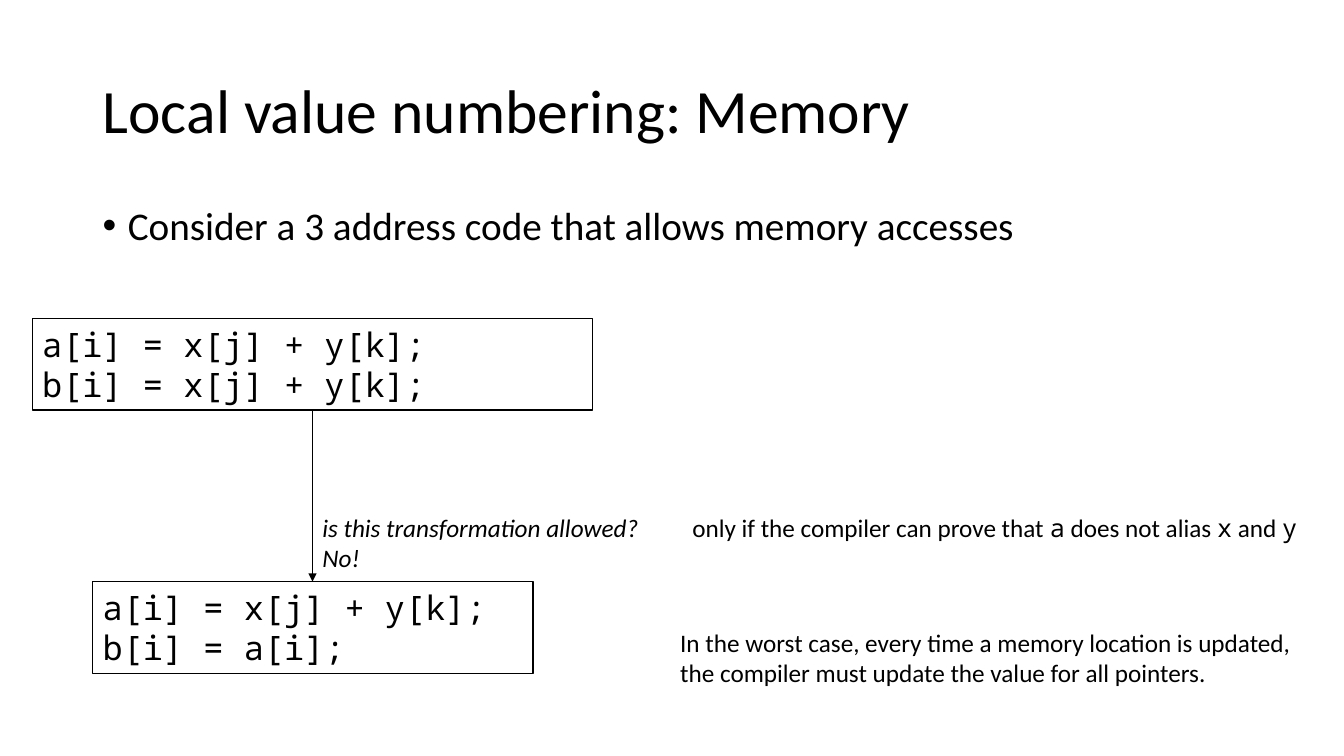
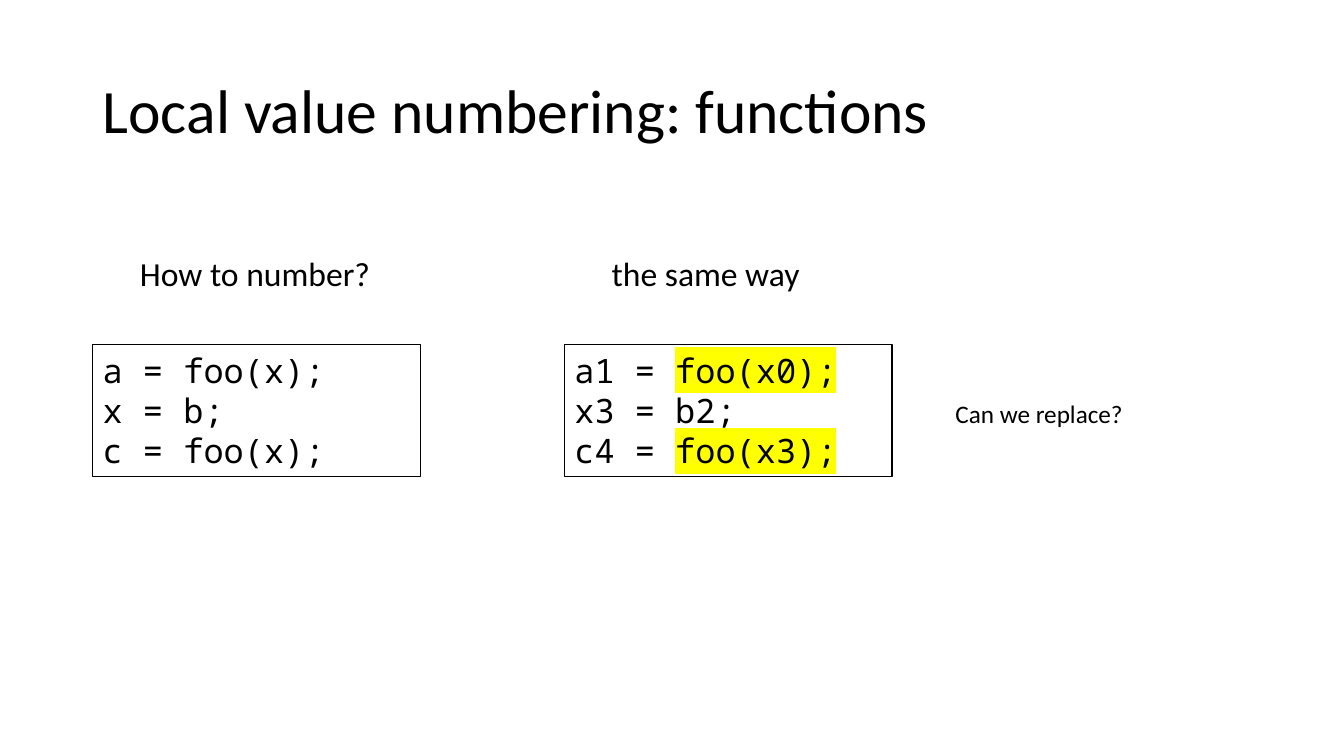
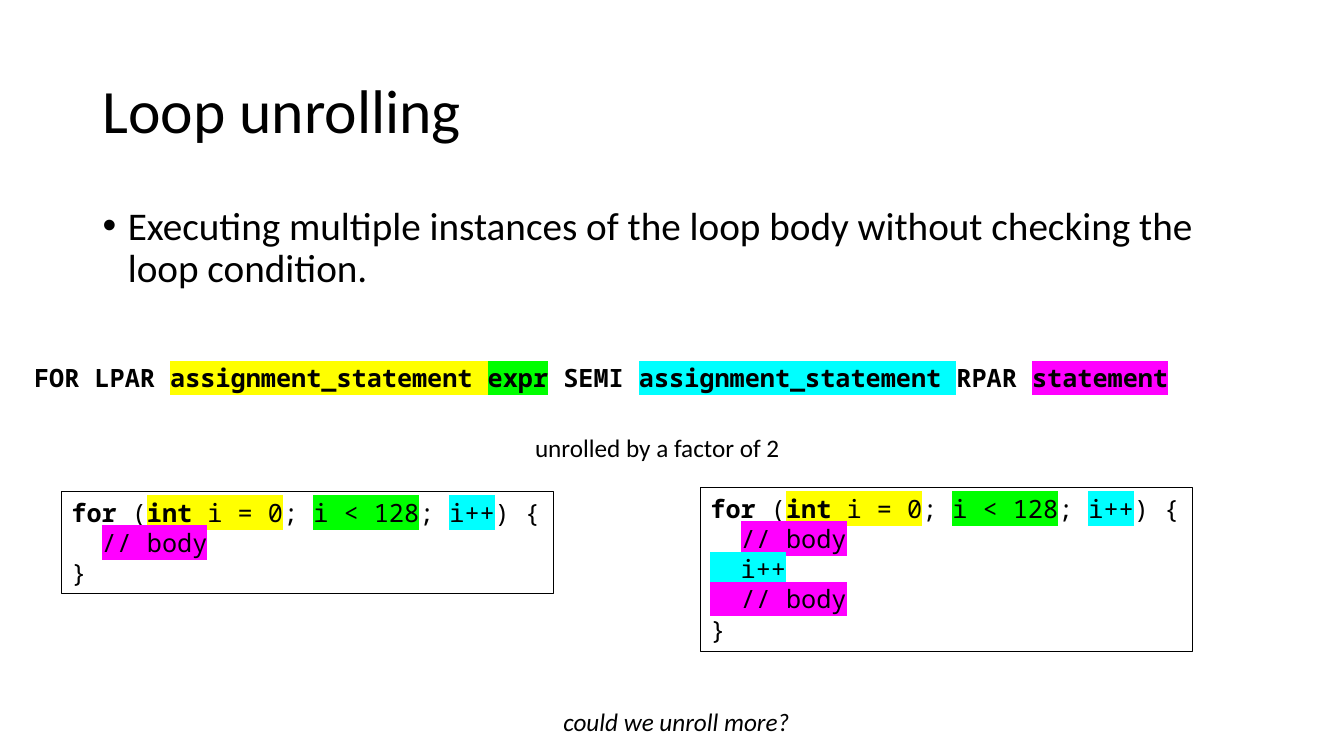
from dataclasses import dataclass

from lxml import etree
from pptx import Presentation
from pptx import util as u
from pptx.dml.color import RGBColor
from pptx.enum import shapes, text
from pptx.oxml import ns

COLOURS = {
    "ink": "000000",
    "paper": "FFFFFF",
    "yellow": "FFFF00",
    "green": "00FF00",
    "cyan": "00FFFF",
    "magenta": "FF00FF",
}
PROSE_FONT = "Calibri"
CODE_FONT = "Noto Sans Mono"
MARGIN = 0.92
CONTENT_WIDTH = 11.5


@dataclass
class Span:
    words: str
    size: int = 18
    font: str = PROSE_FONT
    bold: bool = False
    italic: bool = False
    highlight: str = ""


def code(words, size=18, **style):
    return Span(words, size, CODE_FONT, **style)


def code_lines(*lines):
    return [[code(line, 24)] for line in lines]


def colour(name):
    return RGBColor.from_string(COLOURS[name])


def add_child(parent, tag, **attributes):
    return etree.SubElement(parent, ns.qn(tag), attributes)


def add_span(paragraph, span):
    for number, line in enumerate(span.words.split("\n")):
        if number:
            paragraph.add_line_break()
        run = paragraph.add_run()
        run.text = line
        font = run.font
        font.size = u.Pt(span.size)
        font.name = span.font
        font.bold = span.bold
        font.italic = span.italic
        font.color.rgb = colour("ink")
        if span.highlight:
            properties = run._r.get_or_add_rPr()
            highlight = add_child(properties, "a:highlight")
            add_child(highlight, "a:srgbClr", val=COLOURS[span.highlight])
            properties.find(ns.qn("a:solidFill")).addnext(highlight)


def write(shape, paragraphs, wrap=False, grow=True):
    frame = shape.text_frame
    frame.word_wrap = wrap
    frame.auto_size = (text.MSO_AUTO_SIZE.SHAPE_TO_FIT_TEXT if grow
                       else text.MSO_AUTO_SIZE.NONE)
    frame.vertical_anchor = text.MSO_ANCHOR.TOP
    for number, spans in enumerate(paragraphs):
        paragraph = frame.add_paragraph() if number else frame.paragraphs[0]
        paragraph.alignment = text.PP_ALIGN.LEFT
        for span in spans:
            add_span(paragraph, span)
    return frame


def add_label(slide, left, top, width, height, spans, **layout):
    box = slide.shapes.add_textbox(*map(u.Inches, (left, top, width, height)))
    return write(box, [spans], **layout)


def add_title(slide, words):
    frame = add_label(slide, MARGIN, 0.4, CONTENT_WIDTH, 1.45,
                      [Span(words, 44)], wrap=True, grow=False)
    frame.vertical_anchor = text.MSO_ANCHOR.MIDDLE
    frame.paragraphs[0].line_spacing = 0.9


def add_bullet(slide, words, height):
    frame = add_label(slide, MARGIN, 2, CONTENT_WIDTH, height,
                      [Span(words, 28)], wrap=True, grow=False)
    paragraph = frame.paragraphs[0]
    paragraph.line_spacing = 0.9
    properties = paragraph._p.get_or_add_pPr()
    indent = u.Inches(0.25)
    properties.set("marL", str(indent))
    properties.set("indent", str(-indent))
    add_child(properties, "a:buFont", typeface="Arial")
    add_child(properties, "a:buChar", char="•")


def add_code_box(slide, left, top, width, height, paragraphs):
    box = slide.shapes.add_shape(shapes.MSO_SHAPE.RECTANGLE,
                                 *map(u.Inches, (left, top, width, height)))
    box.shadow.inherit = False
    box.fill.solid()
    box.fill.fore_color.rgb = colour("paper")
    box.line.color.rgb = colour("ink")
    box.line.width = u.Pt(1)
    write(box, paragraphs, wrap=True)
    return box


def add_loop_box(slide, left, top, height, paragraphs):
    box = add_code_box(slide, left, top, 4.88, height, paragraphs)
    box.fill.background()
    box.line.width = u.Pt(0.75)
    box.text_frame.word_wrap = False


def add_down_arrow(slide, x, top, bottom):
    arrow = slide.shapes.add_connector(shapes.MSO_CONNECTOR.STRAIGHT,
                                       *map(u.Inches, (x, top, x, bottom)))
    arrow.line.color.rgb = colour("ink")
    arrow.line.width = u.Pt(0.5)
    add_child(arrow.line._get_or_add_ln(), "a:tailEnd", type="triangle")
    add_child(arrow._element.spPr, "a:effectLst")


def add_slide(presentation, title):
    slide = presentation.slides.add_slide(presentation.slide_layouts[6])
    add_title(slide, title)
    return slide


def build_memory(presentation):
    slide = add_slide(presentation, "Local value numbering: Memory")
    add_bullet(slide, "Consider a 3 address code that allows memory accesses", 0.82)
    add_code_box(slide, 0.32, 3.16, 5.56, 0.91,
                 code_lines("a[i] = x[j] + y[k];\nb[i] = x[j] + y[k];"))
    add_code_box(slide, MARGIN, 5.77, 4.37, 0.91,
                 code_lines("a[i] = x[j] + y[k];\nb[i] = a[i];"))
    add_label(slide, 3.1, 5.03, 3.37, 0.71,
              [Span("is this transformation allowed?\nNo!", italic=True)])
    add_down_arrow(slide, 3.1, 4.07, 5.77)
    add_label(slide, 6.77, 5.03, 6.24, 0.4, [
        Span("only if the compiler can prove that "), code("a"),
        Span(" does not alias "), code("x"), Span(" and "), code("y"),
    ])
    add_label(slide, 6.65, 6.17, 6.33, 0.71, [
        Span("In the worst case, every time a memory location is updated,\n"
             "the compiler must update the value for all pointers."),
    ])


def build_functions(presentation):
    slide = add_slide(presentation, "Local value numbering: functions")
    numbered = [
        [code("a1 = ", 24), code("foo(x0);", 24, highlight="yellow")],
        [code("x3 = b2;", 24)],
        [code("c4 = ", 24), code("foo(x3);", 24, highlight="yellow")],
    ]
    columns = [
        (MARGIN, "How to number?", 2.51,
         code_lines("a = foo(x);", "x = b;", "c = foo(x);")),
        (5.6, "the same way", 2.08, numbered),
    ]
    for left, heading, heading_width, lines in columns:
        add_code_box(slide, left, 3.42, 3.25, 1.31, lines)
        add_label(slide, left + 0.37, 2.46, heading_width, 0.5,
                  [Span(heading, 24)])
    add_label(slide, 9.38, 3.9, 1.88, 0.4, [Span("Can we replace?")])


def build_unrolling(presentation):
    slide = add_slide(presentation, "Loop unrolling")
    add_bullet(slide, "Executing multiple instances of the loop body without "
                      "checking the loop condition.", 1.26)
    grammar = [
        ("FOR LPAR ", ""), ("assignment_statement ", "yellow"),
        ("expr", "green"), (" SEMI ", ""),
        ("assignment_statement ", "cyan"), ("RPAR ", ""),
        ("statement", "magenta"),
    ]
    add_label(slide, 0.24, 3.55, 11.58, 0.4,
              [code(words, bold=True, highlight=shade)
               for words, shade in grammar], wrap=True)

    loop_start = [
        [code("for", bold=True), code(" ("),
         code("int", bold=True, highlight="yellow"),
         code(" i = 0", highlight="yellow"), code("; "),
         code("i < 128", highlight="green"), code("; "),
         code("i++", highlight="cyan"), code(") {")],
        [code("  "), code("// body", highlight="magenta")],
    ]
    second_iteration = [
        [code("  i++", highlight="cyan")],
        [code("  // body", highlight="magenta")],
    ]
    loop_end = [[code("}")]]
    add_loop_box(slide, 0.61, 4.88, 1.01, loop_start + loop_end)
    add_loop_box(slide, 6.95, 4.84, 1.62,
                 loop_start + second_iteration + loop_end)
    add_label(slide, 5.21, 4.24, 2.66, 0.4, [Span("unrolled by a factor of 2")])
    add_label(slide, 5.49, 6.96, 2.5, 0.4,
              [Span("could we unroll more?", italic=True)])


def main():
    presentation = Presentation()
    presentation.slide_width = u.Inches(40 / 3)
    presentation.slide_height = u.Inches(7.5)
    build_memory(presentation)
    build_functions(presentation)
    build_unrolling(presentation)
    presentation.save("out.pptx")


if __name__ == "__main__":
    main()
